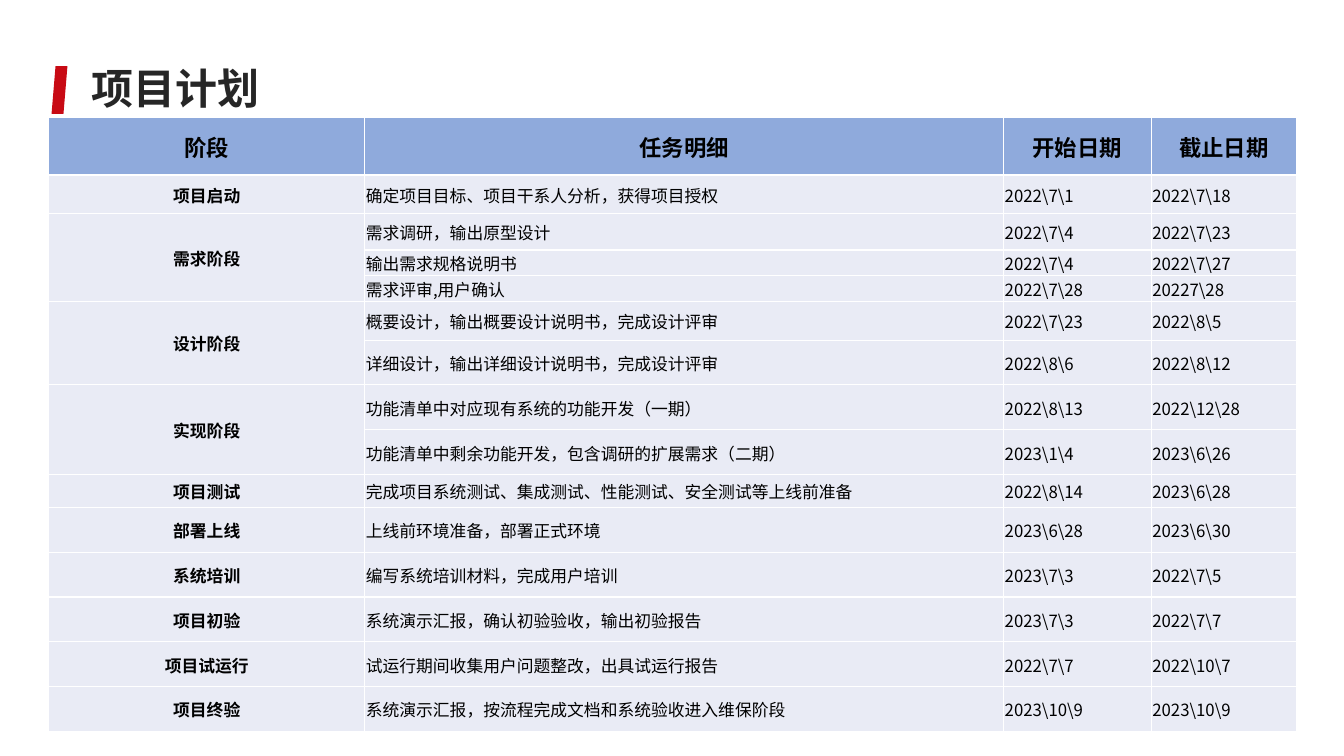
from dataclasses import dataclass

from lxml.etree import SubElement
from pptx import Presentation
from pptx.dml.color import RGBColor
from pptx.enum.shapes import MSO_SHAPE as Preset
from pptx.enum.text import MSO_ANCHOR as Anchor, MSO_AUTO_SIZE as AutoSize, PP_ALIGN as Align
from pptx.oxml import parse_xml
from pptx.oxml.ns import nsdecls, qn
from pptx.slide import Slide
from pptx.table import Table, _Cell as Cell
from pptx.util import Cm, Pt


@dataclass(frozen=True)
class Theme:
    font: str = "Noto Sans CJK SC"
    accent: str = "C80A14"
    title: str = "262626"
    text: str = "000000"
    header_fill: str = "8FAADC"
    body_fill: str = "E9EBF5"
    border: str = "FFFFFF"
    title_size: int = 30
    header_size: int = 16
    body_size: int = 12
    border_width: int = 1


@dataclass(frozen=True)
class Task:
    detail: str
    start: str
    end: str
    height: float = 1.13


@dataclass(frozen=True)
class Phase:
    name: str
    tasks: tuple[Task, ...]


THEME = Theme()
HEADINGS = ("阶段", "任务明细", "开始日期", "截止日期")
COLUMN_WIDTHS = (7.96, 16.1, 3.72, 3.66)
HEADER_HEIGHT = 1.46
PHASES = (
    Phase("项目启动", (
        Task("确定项目目标、项目干系人分析，获得项目授权", r"2022\7\1", r"2022\7\18", 0.98),
    )),
    Phase("需求阶段", (
        Task("需求调研，输出原型设计", r"2022\7\4", r"2022\7\23", 0.91),
        Task("输出需求规格说明书", r"2022\7\4", r"2022\7\27", 0.63),
        Task("需求评审,用户确认", r"2022\7\28", r"20227\28", 0.63),
    )),
    Phase("设计阶段", (
        Task("概要设计，输出概要设计说明书，完成设计评审", r"2022\7\23", r"2022\8\5", 0.98),
        Task("详细设计，输出详细设计说明书，完成设计评审", r"2022\8\6", r"2022\8\12"),
    )),
    Phase("实现阶段", (
        Task("功能清单中对应现有系统的功能开发（一期）", r"2022\8\13", r"2022\12\28"),
        Task("功能清单中剩余功能开发，包含调研的扩展需求（二期）", r"2023\1\4", r"2023\6\26"),
    )),
    Phase("项目测试", (
        Task("完成项目系统测试、集成测试、性能测试、安全测试等上线前准备",
             r"2022\8\14", r"2023\6\28", 0.83),
    )),
    Phase("部署上线", (
        Task("上线前环境准备，部署正式环境", r"2023\6\28", r"2023\6\30"),
    )),
    Phase("系统培训", (
        Task("编写系统培训材料，完成用户培训", r"2023\7\3", r"2022\7\5"),
    )),
    Phase("项目初验", (
        Task("系统演示汇报，确认初验验收，输出初验报告", r"2023\7\3", r"2022\7\7"),
    )),
    Phase("项目试运行", (
        Task("试运行期间收集用户问题整改，出具试运行报告", r"2022\7\7", r"2022\10\7"),
    )),
    Phase("项目终验", (
        Task("系统演示汇报，按流程完成文档和系统验收进入维保阶段", r"2023\10\9", r"2023\10\9"),
    )),
)


def add_run(paragraph, text: str, size: int, color: str, bold: bool) -> None:
    run = paragraph.add_run()
    run.text = text
    font = run.font
    font.size = Pt(size)
    font.bold = bold
    font.color.rgb = RGBColor.from_string(color)
    font.name = THEME.font
    SubElement(font._element, qn("a:ea"), typeface=THEME.font)


def add_title(slide: Slide, text: str) -> None:
    marker = slide.shapes.add_shape(
        Preset.PARALLELOGRAM, Cm(1.3), Cm(1.67), Cm(0.4), Cm(1.2))
    marker.shadow.inherit = False
    marker.fill.solid()
    marker.fill.fore_color.rgb = RGBColor.from_string(THEME.accent)
    marker.line.fill.background()

    title = slide.shapes.title
    title.left, title.top, title.width, title.height = Cm(2.06), Cm(1.63), Cm(16.54), Cm(1.32)
    frame = title.text_frame
    frame.auto_size = AutoSize.NONE
    frame.vertical_anchor = Anchor.MIDDLE
    paragraph = frame.paragraphs[0]
    paragraph.alignment = Align.LEFT
    paragraph.line_spacing = 0.9
    add_run(paragraph, text, THEME.title_size, THEME.title, True)


def style_cell(cell: Cell, fill: str) -> None:
    cell.fill.solid()
    cell.fill.fore_color.rgb = RGBColor.from_string(fill)
    cell.vertical_anchor = Anchor.MIDDLE
    cell.margin_left = cell.margin_right = cell.margin_top = Cm(0.03)
    cell.margin_bottom = 0
    properties = cell._tc.get_or_add_tcPr()
    for index, side in enumerate(("lnL", "lnR", "lnT", "lnB")):
        properties.insert(index, parse_xml(
            f'<a:{side} {nsdecls("a")} w="{Pt(THEME.border_width)}"><a:solidFill>'
            f'<a:srgbClr val="{THEME.border}"/></a:solidFill></a:{side}>'))


def write_cell(cell: Cell, text: str, size: int, heading: bool) -> None:
    paragraph = cell.text_frame.paragraphs[0]
    paragraph.alignment = Align.CENTER if heading else Align.LEFT
    add_run(paragraph, text, size, THEME.text, heading)


def fill_phases(table: Table) -> None:
    row = 1
    for phase in PHASES:
        last_row = row + len(phase.tasks) - 1
        phase_cell = table.cell(row, 0)
        if last_row > row:
            phase_cell.merge(table.cell(last_row, 0))
        write_cell(phase_cell, phase.name, THEME.body_size, True)
        for task in phase.tasks:
            table.rows[row].height = Cm(task.height)
            for column, text in enumerate((task.detail, task.start, task.end), 1):
                write_cell(table.cell(row, column), text, THEME.body_size, False)
            row += 1


def add_plan_table(slide: Slide) -> None:
    heights = [HEADER_HEIGHT] + [task.height for phase in PHASES for task in phase.tasks]
    table = slide.shapes.add_table(
        len(heights), len(HEADINGS), Cm(1.23), Cm(2.95),
        Cm(sum(COLUMN_WIDTHS)), Cm(sum(heights))).table
    table.horz_banding = False
    table.rows[0].height = Cm(HEADER_HEIGHT)
    for column, width in zip(table.columns, COLUMN_WIDTHS):
        column.width = Cm(width)
    for index, row in enumerate(table.rows):
        for cell in row.cells:
            style_cell(cell, THEME.body_fill if index else THEME.header_fill)
    for column, heading in enumerate(HEADINGS):
        write_cell(table.cell(0, column), heading, THEME.header_size, True)
    fill_phases(table)


def main() -> None:
    presentation = Presentation()
    presentation.slide_width, presentation.slide_height = Cm(33.87), Cm(19.05)
    slide = presentation.slides.add_slide(presentation.slide_layouts[5])
    add_title(slide, "项目计划")
    add_plan_table(slide)
    presentation.save("out.pptx")


if __name__ == "__main__":
    main()
